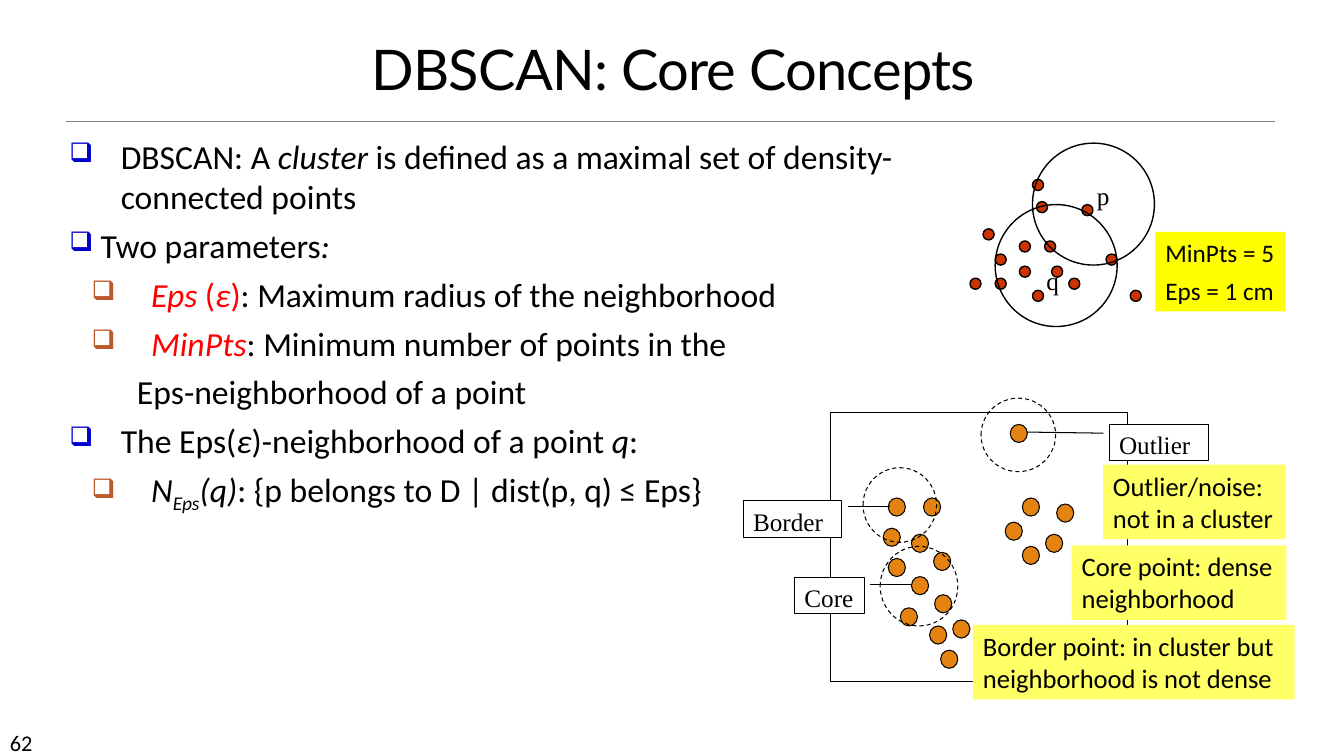
from lxml import etree
from pptx import Presentation
from pptx.dml.color import RGBColor
from pptx.enum import dml, shapes, text
from pptx.oxml import ns
from pptx.util import Inches, Pt

BLACK = RGBColor(0x00, 0x00, 0x00)
WHITE = RGBColor(0xFF, 0xFF, 0xFF)
GRAY = RGBColor(0x80, 0x80, 0x80)
RED = RGBColor(0xFF, 0x00, 0x00)
DOT_RED = RGBColor(0xCC, 0x33, 0x00)
DOT_ORANGE = RGBColor(0xE4, 0x83, 0x12)
YELLOW = RGBColor(0xFF, 0xFF, 0x00)
PALE_YELLOW = RGBColor(0xFF, 0xFF, 0x66)
BULLET_BLUE = RGBColor(0x00, 0x00, 0xCC)
BULLET_BROWN = RGBColor(0xBD, 0x58, 0x2C)

SHAPE = shapes.MSO_SHAPE
SERIF = "Times New Roman"

# Bullet styles: level, left margin, first-line indent, bullet colour
MAIN = (0, 0.51, -0.51, BULLET_BLUE)
TIGHT = (1, 0.31, -0.31, BULLET_BLUE)
SUB = (1, 0.81, -0.59, BULLET_BROWN)
PLAIN = (3, 0.67, 0, None)

# Run flags: i = italic, r = red, s = subscript
BODY = [
    (MAIN, [("DBSCAN: A ", ""), ("cluster", "i"),
            (" is defined as a maximal set of density-connected points", "")]),
    (TIGHT, [("Two parameters", ""), (":", "i")]),
    (SUB, [("Eps ", "ir"), ("(", "r"), ("ε", "ir"), (")", "r"),
           (": Maximum radius of the neighborhood", "")]),
    (SUB, [("MinPts", "ir"), (": Minimum number of points in the", "")]),
    (PLAIN, [("Eps-neighborhood of a point", "")]),
    (MAIN, [("The Eps(", ""), ("ε", "i"), (")-neighborhood of a point ", ""),
            ("q", "i"), (":", "")]),
    (SUB, [("N", "i"), ("Eps", "is"), ("(q)", "i"),
           (": {p belongs to D | dist(p, q) ≤ Eps}", "")]),
]

# Point offsets inside each diagram
NEIGHBOR_POINTS = [
    (0.13, 0.85), (0.49, 0.97), (0.66, 0.58), (0, 1.34), (0.25, 1.1),
    (0.25, 1.34), (0.62, 1.46), (0.62, 0.36), (1.35, 1.1), (1.11, 0.61),
    (0.49, 1.22), (0.74, 0.97), (0.98, 1.34), (1.59, 1.46), (0.81, 1.22),
]
CLUSTER_POINTS = [
    (0.57, 0.85), (0.52, 1.15), (0.8, 1.21), (0.92, 0.85), (1.02, 1.39),
    (0.57, 1.45), (0.8, 1.63), (0.69, 1.94), (0.98, 2.12), (1.09, 2.36),
    (1.03, 1.81), (1.21, 2.06), (1.78, 0.12), (1.9, 0.85), (1.73, 1.09),
    (2.13, 1.21), (2.24, 0.91), (1.9, 1.33),
]


def add_run(paragraph, content, size=18, font="Calibri", color=BLACK, flags=""):
    run = paragraph.add_run()
    run.text = content
    run.font.size = Pt(size)
    run.font.name = font
    run.font.color.rgb = RED if "r" in flags else color
    run.font.italic = "i" in flags
    if "s" in flags:
        run.font._element.set("baseline", "-25000")
    return run


def write(shape, *lines, align=text.PP_ALIGN.LEFT, anchor=text.MSO_ANCHOR.TOP,
          space=0, **style):
    """Write one paragraph per line, all in the same format."""
    frame = shape.text_frame
    frame.word_wrap = True
    frame.auto_size = text.MSO_AUTO_SIZE.NONE
    frame.vertical_anchor = anchor
    for index, line in enumerate(lines):
        paragraph = frame.add_paragraph() if index else frame.paragraphs[0]
        paragraph.alignment = align
        paragraph.space_before = Pt(space if index else 0)
        add_run(paragraph, line, **style)


def add_figure(parent, kind, left, top, width, height, fill=None, line=None, dash=None):
    shape = parent.shapes.add_shape(
        kind, Inches(left), Inches(top), Inches(width), Inches(height))
    shape.shadow.inherit = False
    if fill is None:
        shape.fill.background()
    else:
        shape.fill.solid()
        shape.fill.fore_color.rgb = fill
    if line is None:
        shape.line.fill.background()
    else:
        shape.line.color.rgb = BLACK
        shape.line.width = Pt(line)
        if dash:
            shape.line.dash_style = dash
    return shape


def add_text_box(parent, left, top, width, height):
    return parent.shapes.add_textbox(
        Inches(left), Inches(top), Inches(width), Inches(height))


def set_bullet(paragraph, level, margin, indent, color):
    paragraph.level = level
    properties = paragraph._p.get_or_add_pPr()
    properties.set("marL", str(Inches(margin)))
    properties.set("indent", str(Inches(indent)))
    if color is None:
        etree.SubElement(properties, ns.qn("a:buNone"))
        return
    holder = etree.SubElement(properties, ns.qn("a:buClr"))
    etree.SubElement(holder, ns.qn("a:srgbClr"), val=str(color))
    etree.SubElement(properties, ns.qn("a:buSzPct"), val="80000")
    etree.SubElement(properties, ns.qn("a:buChar"), char="❑")


def build_header(slide, left, top, width, height):
    title = slide.shapes.title
    title.left, title.top = Inches(left), Inches(top)
    title.width, title.height = Inches(width), Inches(height)
    write(title, "DBSCAN: Core Concepts", size=40, font="Lato",
          align=text.PP_ALIGN.CENTER, anchor=text.MSO_ANCHOR.BOTTOM)
    paragraph = title.text_frame.paragraphs[0]
    paragraph.line_spacing = 0.85
    paragraph.runs[0].font._element.set("spc", "-50")
    # Rule under the title
    rule_left, rule_top = left + 0.75, top + 1.2
    rule = slide.shapes.add_connector(
        shapes.MSO_CONNECTOR.STRAIGHT, Inches(rule_left), Inches(rule_top),
        Inches(rule_left + 12), Inches(rule_top))
    rule.line.color.rgb = GRAY
    rule.line.width = Pt(0.5)
    etree.SubElement(rule._element.spPr, ns.qn("a:effectLst"))


def build_body(slide, left, top, width, height):
    frame = add_text_box(slide, left, top, width, height).text_frame
    frame.word_wrap = True
    for index, (bullet, runs) in enumerate(BODY):
        paragraph = frame.add_paragraph() if index else frame.paragraphs[0]
        set_bullet(paragraph, *bullet)
        paragraph.space_before = Pt(6 if index else 0)
        for content, flags in runs:
            add_run(paragraph, content, size=24, flags=flags)


def build_neighborhoods(slide, left, top):
    """Two overlapping neighborhoods, of p and of q."""
    group = slide.shapes.add_group_shape()
    parameters = add_figure(group, SHAPE.RECTANGLE, left + 1.84, top + 0.88,
                            1.29, 0.79, fill=YELLOW)
    write(parameters, "MinPts = 5", "Eps = 1 cm", space=6)
    for x, y in NEIGHBOR_POINTS:
        add_figure(group, SHAPE.OVAL, left + x, top + y, 0.11, 0.11, DOT_RED, 1)
    for x, y in [(0.62, 0), (0.25, 0.61)]:
        add_figure(group, SHAPE.OVAL, left + x, top + y, 1.21, 1.21, line=1)
    for name, x, y in [("p", 1.16, 0.32), ("q", 0.66, 1.16)]:
        write(add_text_box(group, left + x, top + y, 0.42, 0.4), name, font=SERIF)


def build_clusters(slide, left, top):
    """Framed clusters with core, border and outlier points marked."""
    group = slide.shapes.add_group_shape()
    for x, y in CLUSTER_POINTS:
        add_figure(group, SHAPE.OVAL, left + x, top + y, 0.17, 0.18, DOT_ORANGE, 0.75)
    add_figure(group, SHAPE.RECTANGLE, left, top, 2.94, 2.67, line=0.75)
    for x, y, width, height in [(0.32, 0.55, 0.73, 0.74), (0.49, 1.33, 0.77, 0.79),
                                (1.49, -0.14, 0.74, 0.73)]:
        add_figure(group, SHAPE.OVAL, left + x, top + y, width, height, line=0.75,
                   dash=dml.MSO_LINE.DASH)
    # Callouts: the pointer is start y, start x, end y, end x
    for name, x, y, width, pointer in [
            ("Core", -0.36, 1.64, 0.69, (0.188, 1.083, 0.188, 1.688)),
            ("Border", -0.87, 0.88, 0.98, (0.145, 1.059, 0.145, 1.485)),
            ("Outlier", 2.76, 0.12, 0.99, (0.245, -0.058, 0.214, -0.828))]:
        callout = add_figure(group, SHAPE.LINE_CALLOUT_1, left + x, top + y,
                             width, 0.36, WHITE, 0.75)
        for index, value in enumerate(pointer):
            callout.adjustments[index] = value
        write(callout, name, font=SERIF)
    # Explanations
    for note, x, y, width in [
            ("Border point: in cluster but neighborhood is not dense", 1.41, 2.11, 3.19),
            ("Outlier/noise: not in a cluster", 2.7, 0.52, 1.81),
            ("Core point: dense neighborhood", 2.39, 1.32, 2.13)]:
        box = add_figure(group, SHAPE.RECTANGLE, left + x, top + y, width, 0.74,
                         fill=PALE_YELLOW)
        write(box, note, size=19)


def main():
    presentation = Presentation()
    presentation.slide_width = Inches(13.33)
    presentation.slide_height = Inches(7.5)
    slide = presentation.slides.add_slide(presentation.slide_layouts[5])
    build_header(slide, -0.1, 0, 13.56, 1.06)
    write(add_text_box(slide, 0, 7.18, 1.17, 0.3), "62", size=16)
    build_body(slide, 0.59, 1.3, 8.85, 5.89)
    build_neighborhoods(slide, 9.62, 1.42)
    build_clusters(slide, 8.24, 4.09)
    presentation.save("out.pptx")


if __name__ == "__main__":
    main()
